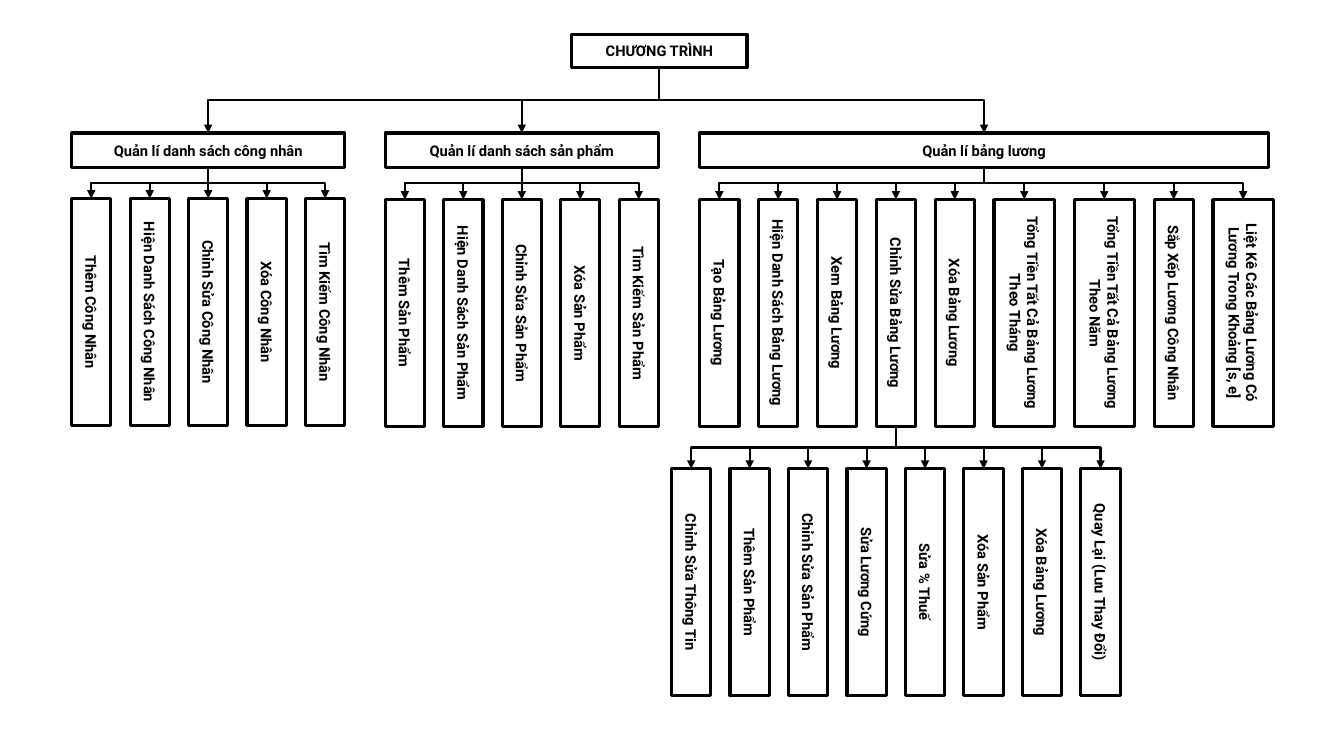
from lxml.etree import SubElement
from pptx import Presentation
from pptx.dml.color import RGBColor
from pptx.enum.shapes import MSO_CONNECTOR, MSO_SHAPE
from pptx.enum.text import MSO_ANCHOR, PP_ALIGN
from pptx.oxml.ns import qn
from pptx.util import Pt

PX = 9144
BLACK = "000000"
LEAF_LENGTH, NARROW, WIDE = 225, 39, 60
LONG_LABEL = 30
HEADER_TOP, HEADER_HEIGHT = 132, 34

ROOT = ("CHƯƠNG TRÌNH", (567, 34, 174, 33))
BRANCHES = [
    ("Quản lí danh sách công nhân", 71, 271, (71, 197, 271), [
        "Thêm Công Nhân", "Hiện Danh Sách Công Nhân", "Chỉnh Sửa Công Nhân",
        "Xóa Công Nhân", "Tìm Kiếm Công Nhân"]),
    ("Quản lí danh sách sản phẩm", 382, 271, (382, 198, 271), [
        "Thêm Sản Phẩm", "Hiện Danh Sách Sản Phẩm", "Chỉnh Sửa Sản Phẩm",
        "Xóa Sản Phẩm", "Tìm Kiếm Sản Phẩm"]),
    ("Quản lí bảng lương", 694, 564, (694, 198, 569), [
        "Tạo Bảng Lương", "Hiện Danh Sách Bảng Lương", "Xem Bảng Lương",
        "Chỉnh Sửa Bảng Lương", "Xóa Bảng Lương",
        "Tổng Tiền Tất Cả Bảng Lương Theo Tháng",
        "Tổng Tiền Tất Cả Bảng Lương Theo Năm",
        "Sắp Xếp Lương Công Nhân",
        "Liệt Kê Các Bảng Lương Có Lương Trong Khoảng [s, e]"]),
]
EDIT_PARENT = "Chỉnh Sửa Bảng Lương"
EDIT_AREA = (666, 465, 445)
EDIT_STEPS = [
    "Chỉnh Sửa Thông Tin", "Thêm Sản Phẩm", "Chỉnh Sửa Sản Phẩm",
    "Sửa Lương Cứng", "Sửa % Thuế", "Xóa Sản Phẩm", "Xóa Bảng Lương",
    "Quay Lại (Lưu Thay Đổi)"]


def px(length):
    """Turn a length in px into EMU."""
    return round(length * PX)


def color(hex_code):
    """Turn a hex string into a colour."""
    return RGBColor.from_string(hex_code)


def draw_node(slide, label, box, turned=False):
    """Draw one labelled box, its text running downwards when turned."""
    left, top, width, height = box
    if turned:
        left, top = left + (width - height) / 2, top + (height - width) / 2
        width, height = height, width
    node = slide.shapes.add_shape(
        MSO_SHAPE.RECTANGLE, px(left), px(top), px(width), px(height))
    node.rotation = 90 if turned else 0
    node.shadow.inherit = False
    node.fill.background()
    node.line.color.rgb = color(BLACK)
    node.line.width = Pt(2.25)
    frame = node.text_frame
    frame.text = label
    frame.word_wrap = True
    frame.vertical_anchor = MSO_ANCHOR.MIDDLE
    paragraph = frame.paragraphs[0]
    paragraph.alignment = PP_ALIGN.CENTER
    font = paragraph.runs[0].font
    font.name, font.size, font.bold = "Roboto", Pt(10.5), True
    font.color.rgb = color(BLACK)
    return node


def edge(node, side):
    """Return the middle of the upper (-1) or lower (1) edge as seen."""
    half = (node.width if node.rotation else node.height) // 2
    return (node.left + node.width // 2,
            node.top + node.height // 2 + side * half)


def link(slide, parent, child):
    """Join a parent to a child with an elbow arrow leaving downwards."""
    start_x, start_y = edge(parent, 1)
    end_x, end_y = edge(child, -1)
    drop, spread = end_y - start_y, abs(end_x - start_x)
    arrow = slide.shapes.add_connector(
        MSO_CONNECTOR.ELBOW, start_x, start_y, end_x, end_y)
    arrow.begin_connect(parent, 3 if parent.rotation else 2)
    arrow.end_connect(child, 1 if child.rotation else 0)
    arrow.left = (start_x + end_x - drop) // 2
    arrow.top = (start_y + end_y - spread) // 2
    arrow.width, arrow.height = drop, spread
    rightwards = end_x > start_x
    properties = arrow._element.spPr
    transform = properties.find(qn("a:xfrm"))
    transform.set("rot", str((270 if rightwards else 90) * 60000))
    transform.set("flipH", "1" if rightwards else "0")
    transform.set("flipV", "0")
    arrow.line.color.rgb = color(BLACK)
    arrow.line.width = Pt(1.5)
    SubElement(arrow.line._get_or_add_ln(), qn("a:tailEnd"), type="triangle")
    SubElement(properties, qn("a:effectLst"))


def draw_leaves(slide, parent, area, labels):
    """Spread upright boxes with equal gaps over an area under a parent."""
    left, top, span = area
    widths = [WIDE if len(label) > LONG_LABEL else NARROW for label in labels]
    gap = (span - sum(widths)) / (len(labels) - 1)
    leaves = {}
    for label, width in zip(labels, widths):
        leaves[label] = draw_node(
            slide, label, (left, top, width, LEAF_LENGTH), turned=True)
        link(slide, parent, leaves[label])
        left += width + gap
    return leaves


def draw_program_tree(slide):
    """Draw the program, its three branches and the editing steps."""
    program = draw_node(slide, *ROOT)
    leaves = {}
    for title, left, width, area, labels in BRANCHES:
        header = draw_node(
            slide, title, (left, HEADER_TOP, width, HEADER_HEIGHT))
        link(slide, program, header)
        leaves.update(draw_leaves(slide, header, area, labels))
    draw_leaves(slide, leaves[EDIT_PARENT], EDIT_AREA, EDIT_STEPS)


def main():
    """Build the slide and save it."""
    deck = Presentation()
    deck.slide_width, deck.slide_height = px(1333), px(750)
    draw_program_tree(deck.slides.add_slide(deck.slide_layouts[6]))
    deck.save("out.pptx")


if __name__ == "__main__":
    main()
